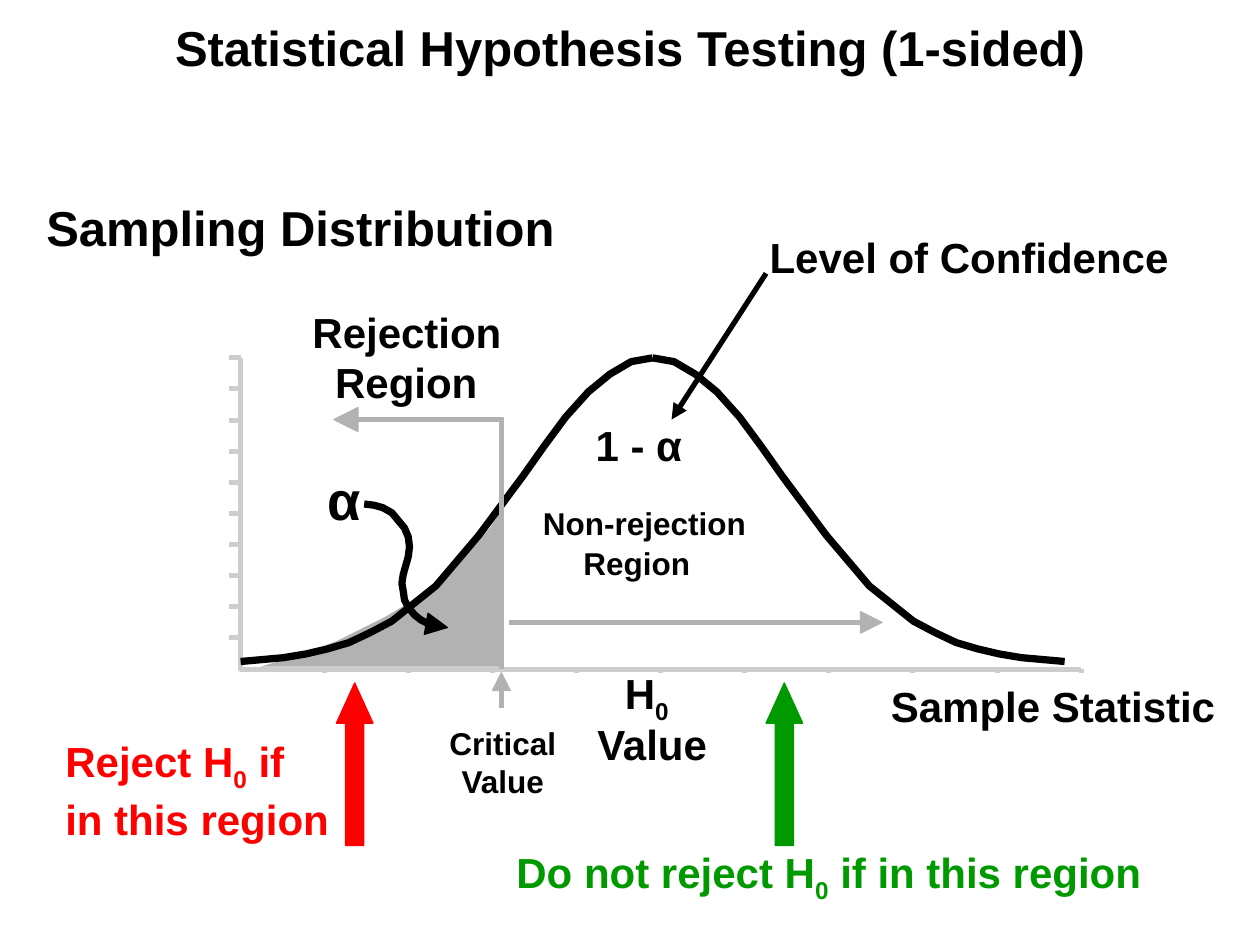
import dataclasses
import math

import lxml.etree
import pptx
import pptx.dml.color
import pptx.enum.shapes
import pptx.enum.text
import pptx.oxml.ns
import pptx.util

SHAPE = pptx.enum.shapes.MSO_SHAPE
ALIGN = pptx.enum.text.PP_ALIGN
ANCHOR = pptx.enum.text.MSO_ANCHOR
COLORS = {"ink": "000000", "axis": "CDCDCD", "region": "B2B2B2",
          "reject": "FF0000", "keep": "009900", "paper": "FFFFFF"}
COLUMNS, ROWS = 100, 75  # square grid cells over a 4:3 slide
CELL = pptx.util.Inches(10) // COLUMNS
THIN, MEDIUM, THICK = 0.75, 2.86, 4.14
PADDING = (1, 0.5)


@dataclasses.dataclass
class Box:
    """Rectangle in grid cells."""
    x: float
    y: float
    w: float
    h: float

    def inner(self, x, y, w, h):
        return Box(self.x + x, self.y + y, w, h)

    def point(self, x, y):
        return round((self.x + x) * CELL), round((self.y + y) * CELL)

    def emu(self):
        return [round(v * CELL) for v in (self.x, self.y, self.w, self.h)]


def rgb(name):
    return pptx.dml.color.RGBColor.from_string(COLORS[name])


def write_text(tf, text, size=24, color="ink", align=ALIGN.LEFT,
               padding=(0, 0), wrap=False, anchor=ANCHOR.TOP):
    """Writes bold text; the parts between underscores are subscripts."""
    tf.word_wrap, tf.vertical_anchor = wrap, anchor
    tf.margin_left = tf.margin_right = round(padding[0] * CELL)
    tf.margin_top = tf.margin_bottom = round(padding[1] * CELL)
    p = tf.paragraphs[0]
    p.alignment = align
    for i, part in enumerate(text.split("_")):
        if not part:
            continue
        r = p.add_run()
        r.text = part
        r.font.name, r.font.size, r.font.bold = "Arial", pptx.util.Pt(size), True
        r.font.color.rgb = rgb(color)
        if i % 2:
            r.font._element.set("baseline", "-25000")


def add_label(s, box, text, **fmt):
    tf = s.shapes.add_textbox(*box.emu()).text_frame
    write_text(tf, text, **fmt)
    tf.auto_size = pptx.enum.text.MSO_AUTO_SIZE.SHAPE_TO_FIT_TEXT


def style_shape(sp, fill=None, line=None, width=THIN):
    sp.shadow.inherit = False
    if fill:
        sp.fill.solid()
        sp.fill.fore_color.rgb = rgb(fill)
    else:
        sp.fill.background()
    if line:
        sp.line.color.rgb = rgb(line)
        sp.line.width = pptx.util.Pt(width)
    else:
        sp.line.fill.background()


def add_path(s, box, points, closed=False, **style):
    first, *rest = [box.point(*pt) for pt in points]
    builder = s.shapes.build_freeform(*first, scale=1.0)
    builder.add_line_segments(rest, close=closed)
    style_shape(builder.convert_to_shape(), **style)


def add_line(s, box, start, end, color="region", width=MEDIUM, arrow=False):
    sp = s.shapes.add_connector(pptx.enum.shapes.MSO_CONNECTOR.STRAIGHT,
                                *box.point(*start), *box.point(*end))
    sp.line.color.rgb = rgb(color)
    sp.line.width = pptx.util.Pt(width)
    qn = pptx.oxml.ns.qn
    if arrow:
        lxml.etree.SubElement(sp.line._get_or_add_ln(), qn("a:tailEnd"), type="triangle")
    lxml.etree.SubElement(sp._element.spPr, qn("a:effectLst"))


def add_head(s, box, tail, tip, length, color):
    """Draws a triangle at tip, as wide as long; returns the middle of its base."""
    angle = math.atan2(tip[1] - tail[1], tip[0] - tail[0])
    dx, dy = length * math.cos(angle), length * math.sin(angle)
    bx, by = tip[0] - dx, tip[1] - dy
    corners = [(bx - dy / 2, by + dx / 2), tip, (bx + dy / 2, by - dx / 2)]
    add_path(s, box, corners, closed=True, fill=color, line=color)
    return bx, by


def add_region_arrow(s, box, start, tip, length):
    add_line(s, box, start, add_head(s, box, start, tip, length, "region"))


def draw_title(s, box, text):
    sp = s.shapes.title
    sp.left, sp.top, sp.width, sp.height = box.emu()
    write_text(sp.text_frame, text, size=28, align=ALIGN.CENTER,
               padding=PADDING, wrap=True, anchor=ANCHOR.MIDDLE)


def draw_axes(s, box, steps=10):
    add_path(s, box, [(0, 0), (0, box.h), (box.w, box.h)], line="axis", width=MEDIUM)
    for i in range(steps):
        y, x = box.h * i / steps, box.w * (i + 1) / steps
        add_line(s, box, (-0.9, y), (0, y), "axis")
        add_line(s, box, (x, box.h), (x, box.h + 0.3), "axis")


def draw_rejection_area(s, box):
    edge = [(20.7, 12.1), (20.7, 24.5), (1.6, 24.5), (3.7, 23.9), (5.8, 23.2),
            (7.8, 22.4), (9.6, 21.5), (11.4, 20.6), (13.1, 19.6), (14.7, 18.5),
            (16.1, 17.3), (17.5, 16.1), (18.7, 14.8), (19.8, 13.5)]
    add_path(s, box, edge, closed=True, fill="region")


def draw_bell_curve(s, box, center=32.7):
    half = [(32.7, 24.1), (29.3, 23.8), (27.5, 23.5), (25.8, 23.1), (24.1, 22.6),
            (22.4, 21.8), (20.7, 20.9), (17.2, 18.1), (13.8, 14.1), (10.3, 9.4),
            (8.6, 7), (6.9, 4.7), (5.1, 2.7), (3.4, 1.3), (1.7, 0.3), (0, 0)]
    for side in (1, -1):
        add_path(s, box, [(center + side * dx, y) for dx, y in half],
                 line="ink", width=THICK)


def draw_region_arrows(s, box, critical=20.7):
    add_region_arrow(s, box, (critical, 27.8), (critical, 25), 1.4)
    add_region_arrow(s, box, (critical + 0.2, 4.9), (7.4, 4.9), 1.9)
    add_line(s, box, (critical, box.h), (critical, 4.9))
    add_region_arrow(s, box, (21.3, 21), (50.9, 21), 1.7)


def draw_pointers(s, box):
    """Draws the curl from alpha and the arrow to the confidence level."""
    curl = [(9.8, 11.6), (10.6, 11.7), (11.3, 11.9), (12, 12.3), (12.5, 12.9),
            (13, 13.5), (13.3, 14.2), (13.4, 15), (13.3, 15.8), (13.1, 16.5),
            (12.9, 17.2), (12.8, 17.9), (12.9, 18.5), (13, 19.2), (13.3, 19.8),
            (13.8, 20.4), (14.3, 20.8), (14.9, 21.1)]
    add_path(s, box, curl, line="ink", width=THICK)
    add_head(s, box, (14.7, 21.1), (16.4, 21.4), 1.7, "ink")
    add_line(s, box, (41.7, -6.7), (34.2, 4.9), "ink", 3, arrow=True)


def draw_plot_labels(s, box):
    padded = {"padding": PADDING, "wrap": True}
    centered = {"align": ALIGN.CENTER, "wrap": True}
    for place, text, fmt in [
            ((30.5, 24.6, 3.5, 4.6), "H_0", {}),
            ((28.3, 28.6, 8.9, 4), "Value", {}),
            ((6.9, 8.6, 2.7, 5.2), "α", {"size": 31}),
            ((51.6, 25.6, 25.8, 4), "Sample Statistic", {}),
            ((5.7, -4.1, 15, 4), "Rejection", {}),
            ((7.5, -0.1, 11.3, 4), "Region", {}),
            ((24, 11.6, 17, 3), "Non-rejection", {"size": 18, "wrap": True}),
            ((27.2, 14.8, 8.5, 3), "Region", {"size": 18}),
            ((23.3, 4.4, 16.6, 5), "1 - α", {**padded, **centered}),
            ((41, -10.5, 34.4, 5), "Level of Confidence", padded),
            ((15.1, 29.1, 11.4, 6), "Critical Value", {"size": 18, **centered}),
            ((-16.9, -13.2, 43.3, 5.6), "Sampling Distribution",
             {"size": 28, **padded, **centered})]:
        add_label(s, box.inner(*place), text, **fmt)


def draw_decision(s, box, note_place, note, color):
    """Fills the box with an up arrow and sets a note beside it."""
    sp = s.shapes.add_shape(SHAPE.UP_ARROW, *box.emu())
    sp.adjustments[0], sp.adjustments[1] = 0.5, 1.1
    style_shape(sp, fill=color, line=color)
    add_label(s, box.inner(*note_place), note, color=color, padding=PADDING, wrap=True)


def main():
    prs = pptx.Presentation()
    prs.slide_width, prs.slide_height = COLUMNS * CELL, ROWS * CELL
    s = prs.slides.add_slide(prs.slide_layouts[5])
    s.background.fill.solid()
    s.background.fill.fore_color.rgb = rgb("paper")
    draw_title(s, Box(0, 0, COLUMNS, 7.5), "Statistical Hypothesis Testing (1-sided)")
    plot = Box(19.1, 28.4, 66.7, 24.7)
    for draw in (draw_axes, draw_rejection_area, draw_bell_curve,
                 draw_region_arrows, draw_pointers, draw_plot_labels):
        draw(s, plot)
    draw_decision(s, Box(60.8, 54.2, 2.9, 12.9), (-20.8, 12.5, 54.2, 5.6),
                  "Do not reject H_0_ if in this region", "keep")
    draw_decision(s, Box(26.7, 54.2, 2.9, 12.9), (-22.5, 3.7, 23.1, 9.6),
                  "Reject H_0_ if in this region", "reject")
    prs.save("out.pptx")


if __name__ == "__main__":
    main()
